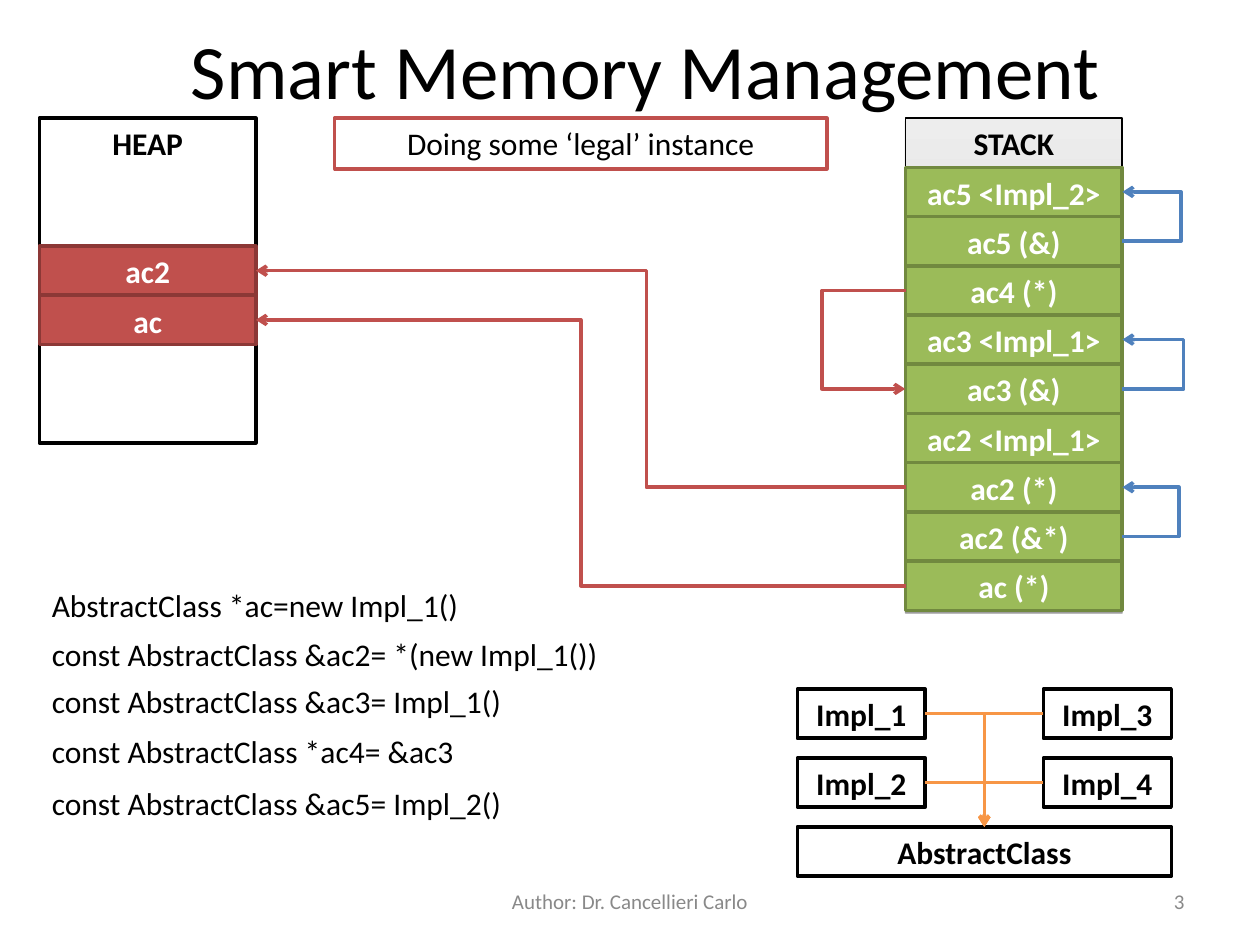
from lxml import etree
from pptx import Presentation
from pptx.dml.color import RGBColor
from pptx.enum import shapes, text
from pptx.oxml.ns import qn
from pptx.util import Pt

# Theme: (fill, line, font) per box style, type sizes, line colours
THEME = {
    "font": "Calibri", "title": 44, "body": 18, "foot": 12,
    "ink": "000000", "grey": "898989", "line": 2,
    "plain": ("FFFFFF", "000000", "000000"),
    "banner": ("FFFFFF", "C0504D", "000000"),
    "heap": ("C0504D", "8C3836", "FFFFFF"),
    "stack": ("9BBB59", "71893F", "FFFFFF"),
    "fade": ("BCBCBC", "EDEDED"),
    "red": "C0504D", "blue": "4F81BD", "orange": "F79646",
}

# Content
TITLE = "Smart Memory Management"
BANNER = "Doing some ‘legal’ instance"
HEAP = ["ac2", "ac"]
STACK = ["ac5 <Impl_2>", "ac5 (&)", "ac4 (*)", "ac3 <Impl_1>", "ac3 (&)",
         "ac2 <Impl_1>", "ac2 (*)", "ac2 (&*)", "ac (*)"]
CODE = [("AbstractClass *ac=new Impl_1()", 331.2),
        ("const AbstractClass &ac2= *(new Impl_1())", 359.3),
        ("const AbstractClass &ac3= Impl_1()", 385.9),
        ("const AbstractClass *ac4= &ac3", 414.7),
        ("const AbstractClass &ac5= Impl_2()", 444.2)]
IMPLS = [["Impl_1", "Impl_3"], ["Impl_2", "Impl_4"]]
BASE = "AbstractClass"
FOOT, PAGE = "Author: Dr. Cancellieri Carlo", "3"

# Stack row, side, target row, side, x of the bend, colour
LOOPS = [("ac2 (&*)", 3, "ac2 (*)", 3, 675.5, "blue"),
         ("ac5 (&)", 3, "ac5 <Impl_2>", 3, 676.8, "blue"),
         ("ac3 (&)", 3, "ac3 <Impl_1>", 3, 678.5, "blue"),
         ("ac4 (*)", 1, "ac3 (&)", 1, 467, "red")]
# Stack row, heap row, x of the bend
POINTERS = [("ac (*)", "ac", 332), ("ac2 (*)", "ac2", 369.4)]

# Grid
TOP, ROW, WIDE = 67.5, 28.13, 123.75
HEAP_X, STACK_X = 22.5, 517.5
IMPL_X, IMPL_Y, IMPL_W, STEP_X, STEP_Y = 455.63, 393.75, 73.13, 140.62, 39.38

deck = Presentation()
deck.slide_width, deck.slide_height = Pt(720), Pt(540)
slide = deck.slides.add_slide(deck.slide_layouts[6])
AL, MID = text.PP_ALIGN, text.MSO_ANCHOR.MIDDLE


def rgb(code):
    return RGBColor.from_string(code)


def write(shape, words, size, color, align, bold=False, wrap=True,
          anchor=text.MSO_ANCHOR.TOP):
    frame = shape.text_frame
    frame.word_wrap, frame.vertical_anchor = wrap, anchor
    para = frame.paragraphs[0]
    para.alignment = align
    run = para.add_run()
    run.text = words
    run.font.name, run.font.size = THEME["font"], Pt(size)
    run.font.bold, run.font.color.rgb = bold, rgb(color)


def label(words, x, y, w, h, size="body", color="ink", align=AL.LEFT, **opts):
    box = slide.shapes.add_textbox(Pt(x), Pt(y), Pt(w), Pt(h))
    write(box, words, THEME[size], THEME[color], align, **opts)


def block(words, x, y, w, h, style, bold=True, wrap=False):
    fill, line, ink = THEME[style]
    box = slide.shapes.add_shape(shapes.MSO_SHAPE.RECTANGLE,
                                 Pt(x), Pt(y), Pt(w), Pt(h))
    box.shadow.inherit = False
    box.fill.solid()
    box.fill.fore_color.rgb = rgb(fill)
    box.line.color.rgb, box.line.width = rgb(line), Pt(THEME["line"])
    write(box, words, THEME["body"], ink, AL.CENTER, bold, wrap)
    return box


def elbow(start, side, end, goal, color, bend=None):
    """Arrow with one corner, or with two corners at x = bend."""
    link = slide.shapes.add_connector(shapes.MSO_CONNECTOR.ELBOW, 0, 0, 0, 0)
    link.begin_connect(start, side)
    link.end_connect(end, goal)
    link.line.color.rgb, link.line.width = rgb(THEME[color]), Pt(THEME["line"])
    props = link._element.spPr
    etree.SubElement(props.find(qn("a:ln")), qn("a:tailEnd"), type="arrow")
    etree.SubElement(props, qn("a:effectLst"))
    geom = props.find(qn("a:prstGeom"))
    if bend is None:
        geom.set("prst", "bentConnector2")
        return
    # The bend is a share of the width, so a loop needs a sliver of width
    reach = Pt(bend) - link.begin_x
    if link.end_x == link.begin_x:
        link.end_x = link.begin_x + (Pt(0.18) if reach > 0 else -Pt(0.18))
    share = round(100000 * reach / (link.end_x - link.begin_x))
    etree.SubElement(geom.find(qn("a:avLst")), qn("a:gd"),
                     name="adj1", fmla=f"val {share}")


# Heap and stack columns
block("HEAP", HEAP_X, TOP, WIDE, 6.6 * ROW, "plain")
column = block("STACK", STACK_X, TOP, WIDE, 10 * ROW, "plain")
column.line.width = Pt(0.75)
column.fill.gradient()
column.fill.gradient_angle = 90
for stop, tone, spot in zip(column.fill.gradient_stops, THEME["fade"], (0, 1)):
    stop.color.rgb, stop.position = rgb(tone), spot
shade = etree.SubElement(column._element.spPr.find(qn("a:effectLst")),
                         qn("a:outerShdw"), dist=str(Pt(1.6)), dir="5400000")
tint = etree.SubElement(shade, qn("a:srgbClr"), val=THEME["ink"])
etree.SubElement(tint, qn("a:alpha"), val="38000")

heap = {name: block(name, HEAP_X, TOP + (2.6 + i) * ROW, WIDE, ROW, "heap")
        for i, name in enumerate(HEAP)}
stack = {name: block(name, STACK_X, TOP + (1 + i) * ROW, WIDE, ROW, "stack")
         for i, name in enumerate(STACK)}

# Title, banner and code lines
label(TITLE, 63, 0, 612, 78, "title", align=AL.CENTER, anchor=MID)
block(BANNER, 191.25, TOP, 281.25, 29, "banner", bold=False, wrap=True)
for words, y in CODE:
    label(words, HEAP_X, y, 371.25, 29)

# Pointers and references
for row, cell, bend in POINTERS:
    elbow(stack[row], 1, heap[cell], 3, "red", bend)
for row, side, other, goal, bend, color in LOOPS:
    elbow(stack[row], side, stack[other], goal, color, bend)

# Class tree
base = block(BASE, IMPL_X, IMPL_Y + 2 * STEP_Y, STEP_X + IMPL_W, ROW, "plain")
for i, pair in enumerate(IMPLS):
    for j, name in enumerate(pair):
        impl = block(name, IMPL_X + j * STEP_X, IMPL_Y + i * STEP_Y,
                     IMPL_W, ROW, "plain")
        elbow(impl, 1 if j else 3, base, 0, "orange")

# Footer
label(FOOT, 246, 500.4, 228, 28.8, "foot", "grey", AL.CENTER, anchor=MID)
label(PAGE, 516, 500.4, 168, 28.8, "foot", "grey", AL.RIGHT, anchor=MID)

deck.save("out.pptx")
